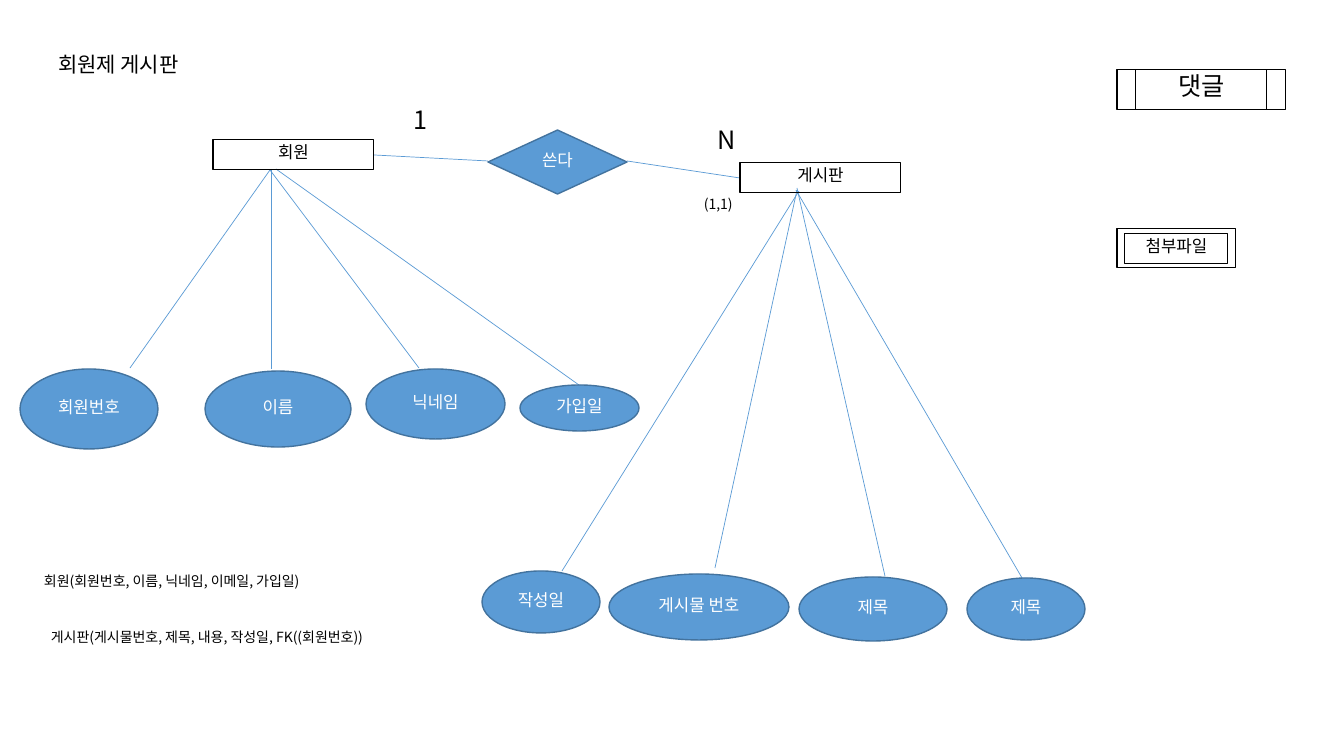
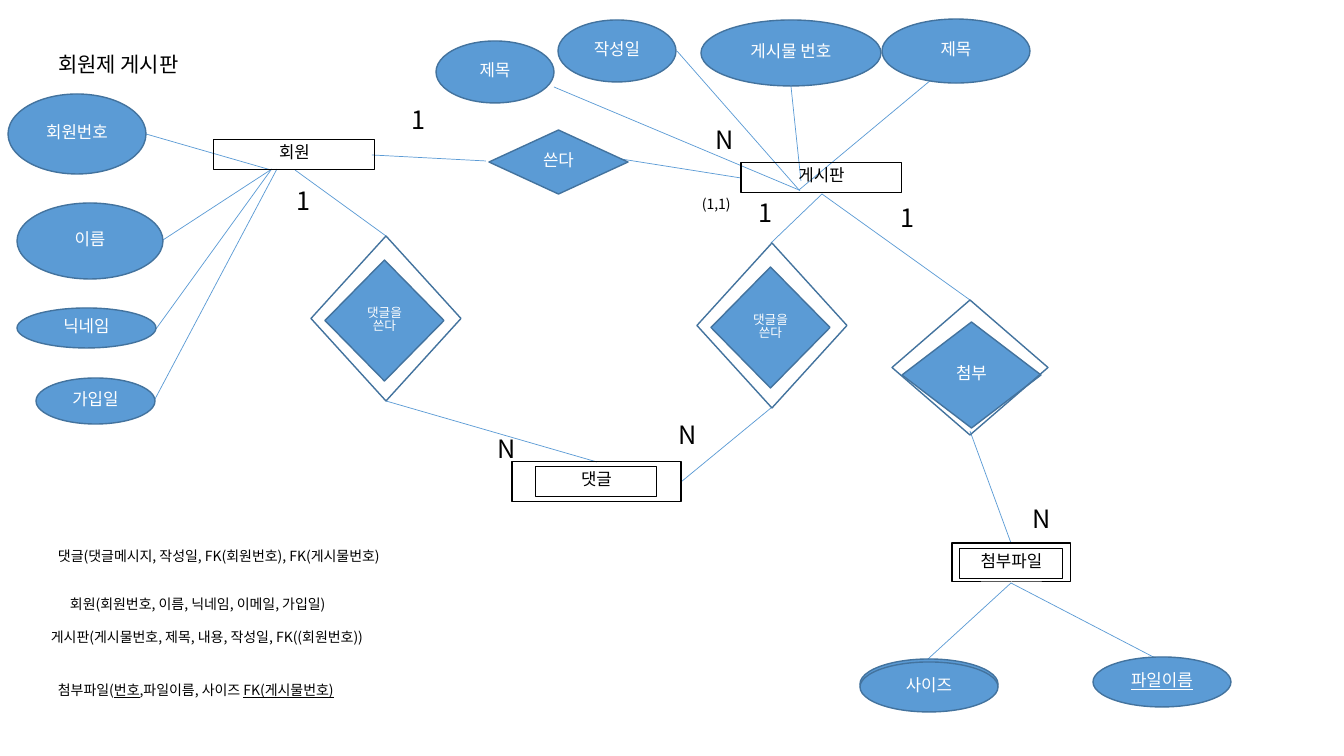
import pptx
import pptx.dml.color
import pptx.enum.shapes
import pptx.enum.text
import pptx.oxml.ns
import pptx.util
from lxml import etree

EMU_PER_PIXEL = 914400 / 100.8
FONT = "Noto Sans CJK KR"
BLACK, WHITE, BLUE, DARK_BLUE = "000000", "FFFFFF", "5B9BD5", "43739E"
LINE_SPACING = 0.83
SHAPES = pptx.enum.shapes.MSO_SHAPE
ANCHOR = pptx.enum.text.MSO_ANCHOR
LEFT = pptx.enum.text.PP_ALIGN.LEFT
CENTER = pptx.enum.text.PP_ALIGN.CENTER

MEMBER_TABLE = "회원(회원번호, 이름, 닉네임, 이메일, 가입일)"
BOARD_TABLE = "게시판(게시물번호, 제목, 내용, 작성일, FK((회원번호))"
COMMENT_TABLE = "댓글(댓글메시지, 작성일, FK(회원번호), FK(게시물번호)"
FILE_TABLE = [("첨부파일(", False), ("번호", True), (",파일이름, 사이즈 ", False),
              ("FK(게시물번호)", True)]


def px(value):
    return pptx.util.Emu(round(value * EMU_PER_PIXEL))


def color(hex_string):
    return pptx.dml.color.RGBColor.from_string(hex_string)


# Text and shape basics
def write(shape, text, size, text_color=BLACK, align=LEFT, anchor=ANCHOR.TOP):
    """Text is a string, or a list of (words, underlined) pairs."""
    frame = shape.text_frame
    frame.word_wrap = True
    frame.auto_size = pptx.enum.text.MSO_AUTO_SIZE.NONE
    frame.vertical_anchor = anchor
    paragraph = frame.paragraphs[0]
    paragraph.alignment = align
    paragraph.line_spacing = LINE_SPACING
    pieces = [(text, False)] if isinstance(text, str) else text
    for words, underlined in pieces:
        run = paragraph.add_run()
        run.text = words
        run.font.size = pptx.util.Pt(size)
        run.font.name = FONT
        run.font.color.rgb = color(text_color)
        if underlined:
            run.font.underline = True
        east_asian = etree.SubElement(run._r.get_or_add_rPr(), pptx.oxml.ns.qn("a:ea"))
        east_asian.set("typeface", FONT)


def add_text(slide, box, text, size, align=LEFT):
    write(slide.shapes.add_textbox(*map(px, box)), text, size, align=align)


def add_outline(slide, kind, box, line, width, fill=None):
    shape = slide.shapes.add_shape(kind, *map(px, box))
    shape.shadow.inherit = False
    if fill:
        shape.fill.solid()
        shape.fill.fore_color.rgb = color(fill)
    else:
        shape.fill.background()
    shape.line.color.rgb = color(line)
    shape.line.width = pptx.util.Pt(width)
    return shape


# Diagram symbols
def add_entity(slide, box, name, size=12):
    shape = add_outline(slide, SHAPES.RECTANGLE, box, BLACK, 0.75)
    write(shape, name, size, align=CENTER)


def add_weak_entity(slide, box, name, inset, size=12):
    left, top, width, height = box
    add_outline(slide, SHAPES.RECTANGLE, box, BLACK, 0.75)
    across, down, inner_height = inset
    add_entity(slide, (left + across, top + down, width - 2 * across, inner_height), name, size)


def add_filled(slide, kind, box, name, size=12):
    shape = add_outline(slide, kind, box, DARK_BLUE, 1, BLUE)
    write(shape, name, size, WHITE, CENTER, ANCHOR.MIDDLE)


def add_attributes(slide, attributes):
    for name, *box in attributes:
        add_filled(slide, SHAPES.OVAL, box, name)


def add_weak_relation(slide, box, inner, name, size):
    """Inner is placed from the top left of box."""
    add_filled(slide, SHAPES.FLOWCHART_DECISION,
               (box[0] + inner[0], box[1] + inner[1], *inner[2:]), name, size)
    add_outline(slide, SHAPES.FLOWCHART_DECISION, box, DARK_BLUE, 1)


def add_links(slide, links):
    for ends in links:
        connector = slide.shapes.add_connector(
            pptx.enum.shapes.MSO_CONNECTOR.STRAIGHT, *map(px, ends))
        connector.line.color.rgb = color(BLUE)
        connector.line.width = pptx.util.Pt(0.5)
        etree.SubElement(connector._element.spPr, pptx.oxml.ns.qn("a:effectLst"))


def add_cardinalities(slide, labels):
    for text, left, top, width in labels:
        add_text(slide, (left, top, width, 40), text, 18, CENTER)


def add_notes_lines(slide, lines):
    for text, left, top, width in lines:
        add_text(slide, (left, top, width, 27), text, 10)


# Parts shared by both slides
def start_slide(presentation):
    slide = presentation.slides.add_slide(presentation.slide_layouts[5])
    title = slide.shapes.title
    title.left, title.top, title.width, title.height = map(px, (48, 51, 156, 35))
    write(title, "회원제 게시판", 15)
    return slide


def add_writing_relation(slide, shift, label_left):
    add_entity(slide, (213 + shift, 140, 161, 30), "회원")
    add_entity(slide, (740 + shift, 163, 161, 30), "게시판")
    add_filled(slide, SHAPES.FLOWCHART_DECISION, (488 + shift, 130, 139, 64), "쓴다")
    add_cardinalities(slide, [("1", label_left, 104, 51)])
    add_text(slide, (label_left + 313, 124, 44, 40), "N", 18)
    add_text(slide, (label_left + 299, 193, 58, 27), "(1,1)", 10)


# Slide 1: members and board
def build_member_board(presentation):
    slide = start_slide(presentation)
    add_links(slide, [
        (374, 155, 488, 161), (627, 161, 740, 178),
        (270, 170, 130, 368), (271, 169, 271, 369),
        (270, 170, 419, 368), (276, 169, 579, 385),
        (799, 191, 562, 571), (797, 190, 715, 568),
        (797, 188, 885, 576), (796, 190, 1025, 583)])
    add_writing_relation(slide, 0, 395)
    add_weak_entity(slide, (1117, 70, 169, 40), "댓글", (19, 0, 40), 18)
    add_weak_entity(slide, (1117, 229, 119, 39), "첨부파일", (8, 5, 30))
    add_attributes(slide, [
        ("회원번호", 20, 369, 138, 80), ("이름", 205, 371, 146, 76),
        ("닉네임", 366, 369, 139, 70), ("가입일", 520, 385, 119, 46),
        ("작성일", 482, 571, 118, 62), ("게시물 번호", 609, 574, 180, 66),
        ("제목", 799, 577, 148, 64), ("제목", 967, 578, 118, 62)])
    add_notes_lines(slide, [(MEMBER_TABLE, 34, 570, 306), (BOARD_TABLE, 41, 626, 361)])


# Slide 2: comments and attached files added
def build_full_diagram(presentation):
    slide = start_slide(presentation)
    add_links(slide, [
        (372, 155, 486, 161), (621, 159, 741, 178),
        (271, 170, 146, 134), (272, 169, 163, 240),
        (271, 170, 156, 329), (277, 169, 154, 401),
        (799, 190, 554, 87), (800, 191, 677, 51),
        (801, 181, 791, 86), (799, 190, 943, 70),
        (295, 170, 386, 236), (386, 401, 597, 462),
        (822, 194, 771, 243), (771, 408, 681, 482),
        (822, 194, 970, 300), (970, 431, 1011, 543),
        (1011, 583, 928, 659), (1011, 583, 1163, 662)])
    add_writing_relation(slide, 1, 393)
    add_weak_entity(slide, (512, 462, 169, 40), "댓글", (24, 5, 30))
    add_weak_entity(slide, (952, 543, 119, 39), "첨부파일", (8, 6, 30))
    for left, top in [(311, 236), (697, 243)]:
        add_weak_relation(slide, (left, top, 150, 165), (14, 24, 119, 121), "댓글을 쓴다", 9)
    add_weak_relation(slide, (892, 300, 156, 135), (10, 22, 139, 106), "첨부", 12)
    add_outline(slide, SHAPES.OVAL, (860, 659, 138, 50), DARK_BLUE, 1, BLUE)
    add_attributes(slide, [
        ("회원번호", 8, 94, 138, 80), ("이름", 17, 203, 146, 76),
        ("닉네임", 17, 308, 139, 40), ("가입일", 36, 378, 119, 46),
        ("제목", 436, 41, 118, 62), ("작성일", 558, 20, 118, 62),
        ("게시물 번호", 701, 20, 180, 66), ("제목", 882, 19, 148, 64),
        ("사이즈", 860, 662, 138, 50), ([("파일이름", True)], 1093, 657, 138, 50)])
    add_cardinalities(slide, [
        ("1", 287, 185, 24), ("N", 488, 433, 24), ("1", 730, 198, 72),
        ("N", 669, 420, 24), ("1", 872, 203, 72), ("N", 1006, 503, 72)])
    add_notes_lines(slide, [
        (COMMENT_TABLE, 48, 545, 425), (MEMBER_TABLE, 60, 593, 306),
        (BOARD_TABLE, 41, 626, 361), (FILE_TABLE, 48, 679, 372)])


presentation = pptx.Presentation()
presentation.slide_width, presentation.slide_height = px(1344), px(756)
build_member_board(presentation)
build_full_diagram(presentation)
presentation.save("out.pptx")
